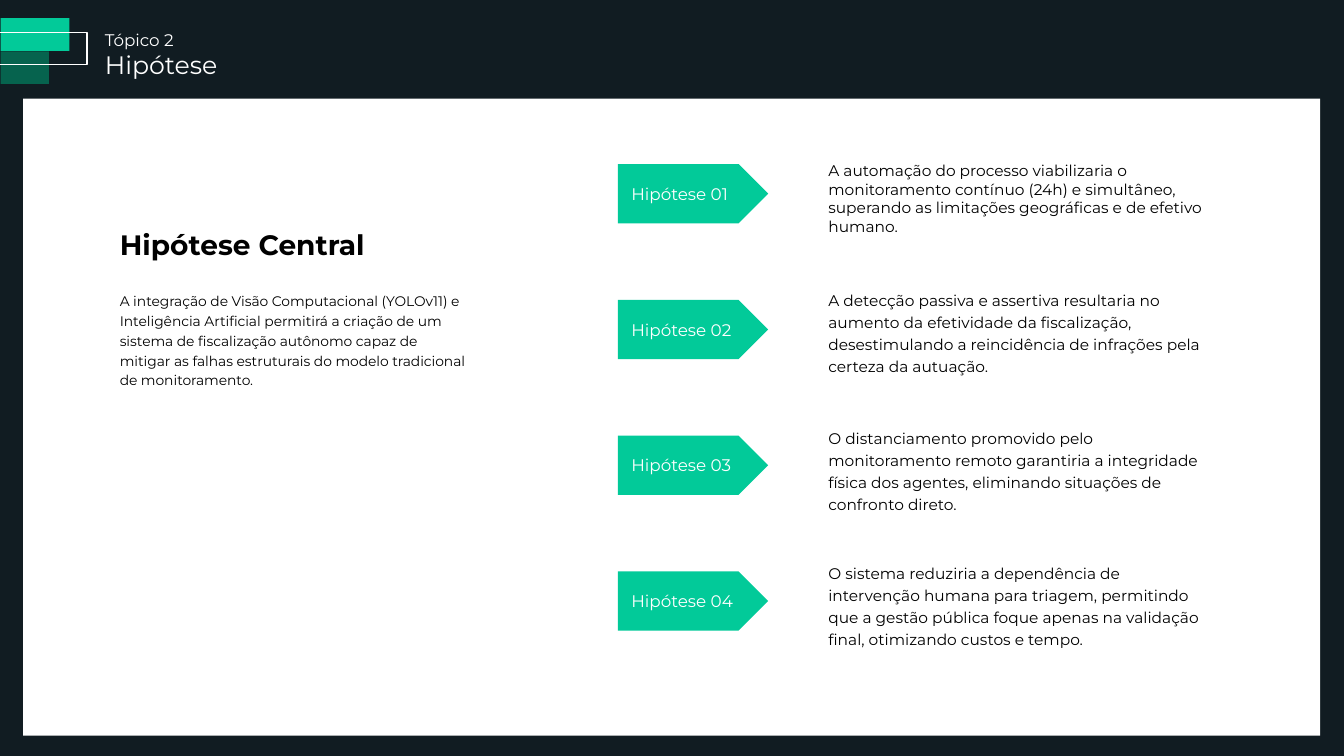
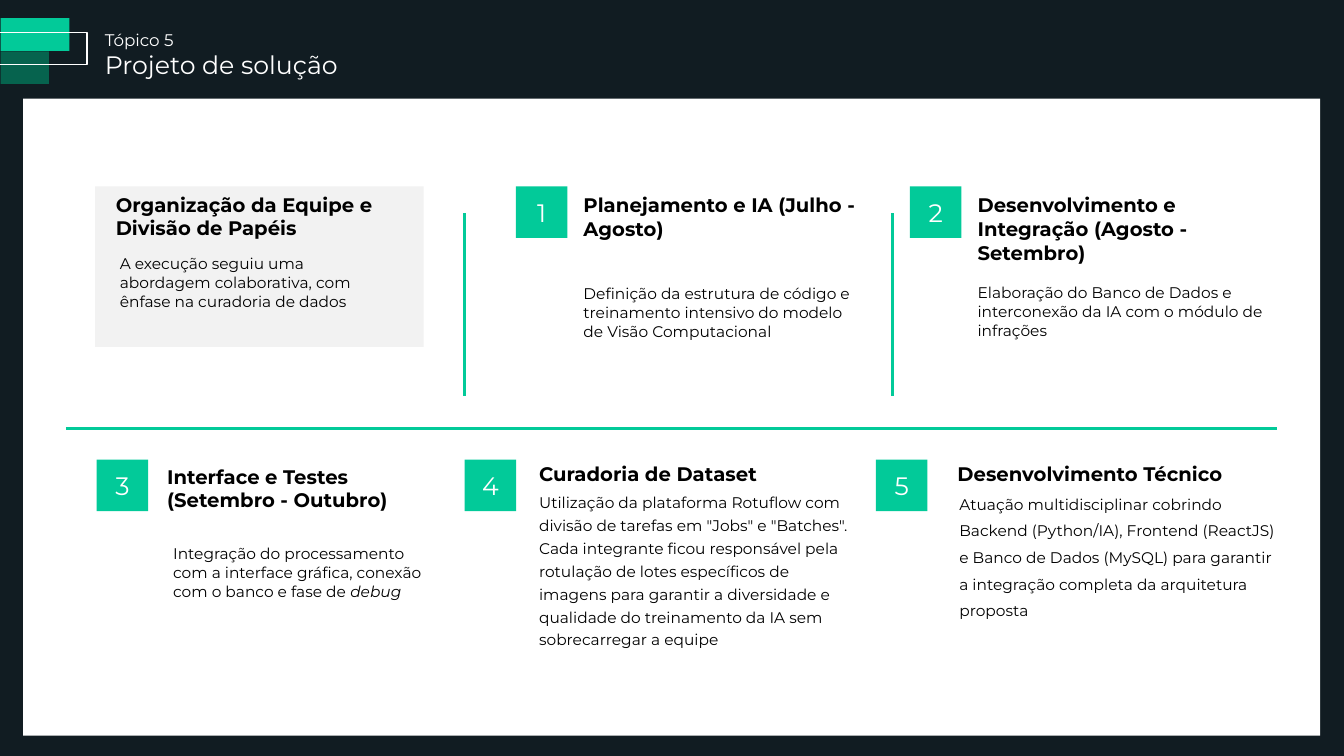
from dataclasses import dataclass
from typing import NamedTuple

from lxml.etree import SubElement
from pptx import Presentation
from pptx.dml.color import RGBColor
from pptx.enum.shapes import MSO_CONNECTOR, MSO_SHAPE
from pptx.enum.text import MSO_ANCHOR, MSO_AUTO_SIZE, PP_ALIGN
from pptx.oxml.ns import qn
from pptx.presentation import Presentation as Deck
from pptx.shapes.autoshape import Shape
from pptx.slide import Slide
from pptx.text.text import TextFrame
from pptx.util import Pt

RECT = MSO_SHAPE.RECTANGLE
ARROW = MSO_SHAPE.PENTAGON
STRAIGHT = MSO_CONNECTOR.STRAIGHT
TOP, MIDDLE = MSO_ANCHOR.TOP, MSO_ANCHOR.MIDDLE
LEFT, CENTER = PP_ALIGN.LEFT, PP_ALIGN.CENTER
FIXED = MSO_AUTO_SIZE.NONE
TITLE_ONLY = 5


@dataclass(frozen=True)
class Theme:
    font: str = "Montserrat"
    night: RGBColor = RGBColor(0x11, 0x1C, 0x22)
    green: RGBColor = RGBColor(0x02, 0xCA, 0x99)
    forest: RGBColor = RGBColor(0x06, 0x63, 0x4E)
    gray: RGBColor = RGBColor(0xF2, 0xF2, 0xF2)
    white: RGBColor = RGBColor(0xFF, 0xFF, 0xFF)
    black: RGBColor = RGBColor(0, 0, 0)
    small: float = 9.9
    body: float = 11
    label: float = 12
    head: float = 14
    title: float = 18
    large: float = 20


THEME = Theme()


class Box(NamedTuple):
    left: float
    top: float
    width: float
    height: float


class Claim(NamedTuple):
    top: float
    text: str
    gap: float = 1.2


@dataclass(frozen=True)
class Card:
    head: str
    head_box: Box
    body: str
    body_box: Box
    gap: float = 1.04
    mark: tuple[float, float] | None = None
    tail: str = ""


CLAIMS = [
    Claim(111.6, "A automação do processo viabilizaria o monitoramento contínuo (24h) e "
          "simultâneo, superando as limitações geográficas e de efetivo humano.", 1.0),
    Claim(201.6, "A detecção passiva e assertiva resultaria no aumento da efetividade da "
          "fiscalização, desestimulando a reincidência de infrações pela certeza da autuação."),
    Claim(300.2, "O distanciamento promovido pelo monitoramento remoto garantiria a integridade "
          "física dos agentes, eliminando situações de confronto direto."),
    Claim(396.7, "O sistema reduziria a dependência de intervenção humana para triagem, "
          "permitindo que a gestão pública foque apenas na validação final, otimizando "
          "custos e tempo."),
]

UPPER, LOWER = 133.2, 328.3
CARDS = [
    Card("Organização da Equipe e Divisão de Papéis", Box(75.6, 133.9, 203, 37),
         "A execução seguiu uma abordagem colaborativa, com ênfase na curadoria de dados",
         Box(78.5, 177.1, 191, 68)),
    Card("Planejamento e IA (Julho - Agosto)", Box(409.7, 134.6, 209, 42),
         "Definição da estrutura de código e treinamento intensivo do modelo de Visão "
         "Computacional", Box(409.7, 198.7, 209, 74), mark=(368.6, UPPER)),
    Card("Desenvolvimento e Integração (Agosto - Setembro)", Box(691.2, 134.6, 234, 54),
         "Elaboração do Banco de Dados e interconexão da IA com o módulo de infrações",
         Box(691.2, 198, 222.5, 80), mark=(650, UPPER)),
    Card("Interface e Testes (Setembro - Outubro)", Box(112.3, 328.3, 206.6, 47.5),
         "Integração do processamento com a interface gráfica, conexão com o banco e fase de ",
         Box(116.6, 384.5, 206.6, 66), mark=(69.1, LOWER), tail="debug"),
    Card("Curadoria de Dataset", Box(378, 326.2, 247.7, 18),
         "Utilização da plataforma Rotuflow com divisão de tarefas em \"Jobs\" e \"Batches\". "
         "Cada integrante ficou responsável pela rotulação de lotes específicos de imagens "
         "para garantir a diversidade e qualidade do treinamento da IA sem sobrecarregar a "
         "equipe", Box(378, 345.6, 240.5, 164), gap=1.24, mark=(331.9, LOWER)),
    Card("Desenvolvimento Técnico", Box(676.8, 326.2, 206, 18),
         "Atuação multidisciplinar cobrindo Backend (Python/IA), Frontend (ReactJS) e Banco "
         "de Dados (MySQL) para garantir a integração completa da arquitetura proposta",
         Box(678.2, 344.2, 242, 130), gap=1.44, mark=(625.7, LOWER)),
]


def write(frame: TextFrame, text: str, *, size: float = THEME.body,
          color: RGBColor = THEME.black, bold: bool = False, italic: bool = False,
          gap: float = 1.0, align: PP_ALIGN = LEFT, fresh: bool = False) -> None:
    """Append a run to the last paragraph, or to a fresh one."""
    para = frame.add_paragraph() if fresh else frame.paragraphs[-1]
    para.alignment = align
    para.line_spacing = gap
    run = para.add_run()
    run.text = text
    font = run.font
    font.name, font.size, font.bold, font.italic = THEME.font, Pt(size), bold, italic
    font.color.rgb = color


def setup(frame: TextFrame, anchor: MSO_ANCHOR = TOP) -> TextFrame:
    frame.word_wrap = True
    frame.auto_size = FIXED
    frame.vertical_anchor = anchor
    return frame


def add_text(slide: Slide, box: Box) -> TextFrame:
    return setup(slide.shapes.add_textbox(*map(Pt, box)).text_frame)


def add_block(slide: Slide, box: Box, fill: RGBColor | None,
              kind: MSO_SHAPE = RECT) -> Shape:
    """Draw a filled shape, or a white outline when there is no fill."""
    shape = slide.shapes.add_shape(kind, *map(Pt, box))
    shape.shadow.inherit = False
    if fill is None:
        shape.fill.background()
        shape.line.color.rgb = THEME.white
        shape.line.width = Pt(1)
    else:
        shape.fill.solid()
        shape.fill.fore_color.rgb = fill
        shape.line.fill.background()
    return shape


def add_rule(slide: Slide, *ends: float) -> None:
    rule = slide.shapes.add_connector(STRAIGHT, *map(Pt, ends))
    rule.line.color.rgb = THEME.green
    rule.line.width = Pt(2.25)
    SubElement(rule._element.spPr, qn("a:effectLst"))


def add_page(deck: Deck, topic: str, name: str) -> Slide:
    """Start a slide with the shared emblem, panel and title."""
    slide = deck.slides.add_slide(deck.slide_layouts[TITLE_ONLY])
    add_block(slide, Box(0.5, 13, 49, 23.3), THEME.green)
    add_block(slide, Box(0.5, 36.7, 34.5, 23.3), THEME.forest)
    add_block(slide, Box(-2, 23.2, 64.2, 23), None)
    add_block(slide, Box(16.5, 70.5, 926.5, 455), THEME.white)
    title = slide.shapes.title
    title.left, title.top, title.width, title.height = map(Pt, (67.7, 17.3, 300, 44))
    frame = setup(title.text_frame)
    write(frame, topic, size=THEME.label, color=THEME.white)
    write(frame, name, size=THEME.title, color=THEME.white, fresh=True)
    return slide


def add_claim(slide: Slide, num: int, claim: Claim) -> None:
    box = Box(441.4, 117.2 + 97 * (num - 1), 107.3, 42.3)
    frame = setup(add_block(slide, box, THEME.green, ARROW).text_frame, MIDDLE)
    frame.margin_left, frame.margin_right = Pt(9.5), 0
    write(frame, f"Hipótese {num:02}", size=THEME.label, color=THEME.white)
    write(add_text(slide, Box(584.6, claim.top, 282.2, 68)), claim.text, gap=claim.gap)


def add_card(slide: Slide, num: int, card: Card) -> None:
    if card.mark:
        block = add_block(slide, Box(*card.mark, 36.8, 36.8), THEME.green)
        write(setup(block.text_frame, MIDDLE), str(num), size=THEME.title,
              color=THEME.white, align=CENTER)
    write(add_text(slide, card.head_box), card.head, size=THEME.head, bold=True)
    frame = add_text(slide, card.body_box)
    write(frame, card.body, gap=card.gap)
    if card.tail:
        write(frame, card.tail, gap=card.gap, italic=True)


def build_thesis(deck: Deck) -> None:
    slide = add_page(deck, "Tópico 2", "Hipótese")
    write(add_text(slide, Box(78.5, 154, 237, 35)), "Hipótese Central",
          size=THEME.large, bold=True, gap=1.2)
    write(add_text(slide, Box(78.5, 203, 264.2, 101.5)),
          "A integração de Visão Computacional (YOLOv11) e Inteligência Artificial permitirá "
          "a criação de um sistema de fiscalização autônomo capaz de mitigar as falhas "
          "estruturais do modelo tradicional de monitoramento.", size=THEME.small, gap=1.2)
    for num, claim in enumerate(CLAIMS, 1):
        add_claim(slide, num, claim)


def build_plan(deck: Deck) -> None:
    slide = add_page(deck, "Tópico 5", "Projeto de solução")
    add_block(slide, Box(67.9, 133.2, 234.7, 114.6), THEME.gray)
    for left in (331.9, 637.2):
        add_rule(slide, left, 152.4, left, 283)
    add_rule(slide, 47, 306, 912.2, 306)
    for num, card in enumerate(CARDS):
        add_card(slide, num, card)


def main() -> None:
    deck = Presentation()
    deck.slide_width, deck.slide_height = Pt(960), Pt(540)
    ground = deck.slide_master.background.fill
    ground.solid()
    ground.fore_color.rgb = THEME.night
    build_thesis(deck)
    build_plan(deck)
    deck.save("out.pptx")


if __name__ == "__main__":
    main()
